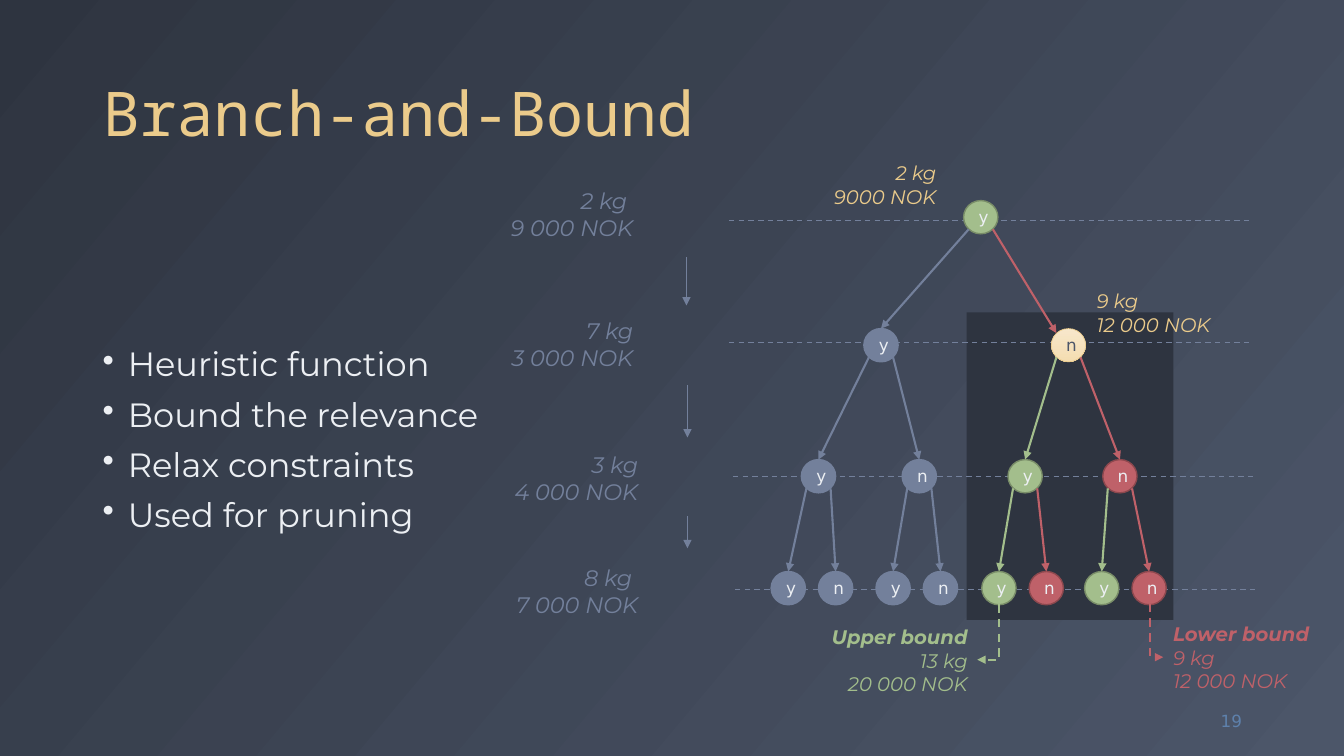
import dataclasses
import typing

import lxml.etree
import pptx
import pptx.dml.color
import pptx.enum.dml
import pptx.enum.shapes
import pptx.enum.text
import pptx.oxml.ns
import pptx.util

ALIGN = pptx.enum.text.PP_ALIGN
ANCHOR = pptx.enum.text.MSO_ANCHOR
LINK = pptx.enum.shapes.MSO_CONNECTOR
SHAPE = pptx.enum.shapes.MSO_SHAPE
DASH = pptx.enum.dml.MSO_LINE.DASH


@dataclasses.dataclass(frozen=True)
class Theme:
    night: str = "2E3440"
    dusk: str = "4C5669"
    slate: str = "73809B"
    snow: str = "ECEFF3"
    gold: str = "EBCB8B"
    green: str = "A3BE8C"
    red: str = "BF6169"
    blue: str = "5E81AC"
    moss: str = "798D68"
    wine: str = "8D484E"
    cream: str = "F7E7CB"
    sand: str = "F4DDB1"
    title: int = 44
    body: int = 24
    item: int = 16
    bound: int = 14
    small: int = 12
    code: str = "Noto Sans Mono"
    text: str = "Montserrat"
    plain: str = "DejaVu Sans"


T = Theme()

# The grid has 75 rows; its cells are square.
ROWS = 75
WIDTH = pptx.util.Inches(13.333)
HEIGHT = pptx.util.Inches(7.5)
CELL = HEIGHT / ROWS


class Tone(typing.NamedTuple):
    fill: str
    rim: str
    edge: str
    ink: str = T.snow
    fade: str = ""
    thick: float = 1


GREY = Tone(T.slate, T.slate, T.slate)
GOOD = Tone(T.green, T.moss, T.green)
BAD = Tone(T.red, T.wine, T.red)
PICK = Tone(T.cream, T.gold, T.red, T.dusk, T.sand, 0.5)


class Level(typing.NamedTuple):
    row: float
    cols: list[float]
    tones: list[Tone]
    guide: float


class Label(typing.NamedTuple):
    box: tuple[float, float, float, float]
    lines: list[str]
    color: str
    size: int
    align: ALIGN = ALIGN.RIGHT
    head: bool = False


NODE_W, NODE_H = 3.4, 3.3
GUIDE_W = 51.6
LEVELS = [
    Level(21.55, [97.3], [GOOD], 72.3),
    Level(34.25, [87.4, 106], [GREY, PICK], 72.3),
    Level(47.25, [81.2, 91.2, 101.7, 111.1], [GREY, GREY, GOOD, BAD], 72.7),
    Level(58.35, [78.2, 82.9, 88.6, 93.3, 99.1, 103.8, 109.3, 114],
          [GREY] * 4 + [GOOD, BAD] * 2, 72.9),
]
GUIDES = [21.9, 34, 47.3, 58.5]
STEPS = [(68.1, 25.5, 30.3), (68.2, 38.2, 43.4), (68.2, 51.2, 54.4)]
LABELS = [
    Label((49.5, 18.1, 14.3, 6.4), ["2 kg ", "9 000 NOK"], T.slate, T.item),
    Label((49.6, 31, 14.2, 6.4), ["7 kg", "3 000 NOK"], T.slate, T.item),
    Label((49.8, 44.3, 14.5, 6.4), ["3 kg", "4 000 NOK"], T.slate, T.item),
    Label((50, 55.5, 14.3, 6.4), ["8 kg ", "7 000 NOK"], T.slate, T.item),
    Label((81.6, 15.5, 12.3, 5.7), ["2 kg", "9000 NOK"], T.gold, T.bound),
    Label((107.8, 28.2, 13.9, 5.7), ["9 kg", "12 000 NOK"], T.gold, T.bound, ALIGN.LEFT),
    Label((81.4, 61.5, 15.6, 8.1), ["Upper bound", "13 kg", "20 000 NOK"],
          T.green, T.bound, head=True),
    Label((115.4, 61.2, 15.7, 8.1), ["Lower bound", "9 kg", "12 000 NOK"],
          T.red, T.bound, ALIGN.LEFT, True),
]
POINTS = ["Heuristic function", "Bound the relevance", "Relax constraints", "Used for pruning"]


def grid(*cells: float) -> list[int]:
    return [round(cell * CELL) for cell in cells]


def rgb(code: str) -> pptx.dml.color.RGBColor:
    return pptx.dml.color.RGBColor.from_string(code)


def blend(fill, start: str, end: str, angle: float) -> None:
    """Fill with a two-colour gradient; the angle runs clockwise."""
    fill.gradient()
    fill.gradient_angle = 360 - angle
    for stop, code in zip(fill.gradient_stops, (start, end)):
        stop.color.rgb = rgb(code)


def tag(parent, name: str, **attrs: str):
    return lxml.etree.SubElement(parent, pptx.oxml.ns.qn(name), attrs)


def style(par, face: str, size: int, color: str, align: ALIGN = ALIGN.LEFT) -> None:
    par.alignment = align
    par.font.name, par.font.size = face, pptx.util.Pt(size)
    par.font.color.rgb = rgb(color)


def frame(slide, box: tuple, anchor: ANCHOR, wrap: bool = True):
    text = slide.shapes.add_textbox(*grid(*box)).text_frame
    text.word_wrap, text.vertical_anchor = wrap, anchor
    return text


def shape(slide, kind: SHAPE, box: tuple, color: str):
    form = slide.shapes.add_shape(kind, *grid(*box))
    form.shadow.inherit = False
    form.fill.solid()
    form.fill.fore_color.rgb = rgb(color)
    form.line.fill.background()
    return form


def line(slide, start: tuple, end: tuple, color: str, width: float,
         head: bool = True, dash: bool = False, kind: LINK = LINK.STRAIGHT):
    link = slide.shapes.add_connector(kind, *grid(*start, *end))
    link.line.color.rgb = rgb(color)
    link.line.width = pptx.util.Pt(width)
    if dash:
        link.line.dash_style = DASH
    if head:
        tag(link.line.get_or_change_to_ln() if hasattr(link.line, "get_or_change_to_ln")
            else link.get_or_add_ln(), "a:tailEnd", type="triangle")
    tag(link.element.spPr, "a:effectLst")
    return link


def bend(slide, start: tuple, end: tuple, color: str, turn: int) -> None:
    """Draw a one-corner arrow, given its ends before it is turned."""
    link = line(slide, start, end, color, 1.5, dash=True, kind=LINK.ELBOW)
    link.element.spPr.prstGeom.set("prst", "bentConnector2")
    link.element.spPr.xfrm.set("rot", str(turn * 60000))


def node(slide, col: float, row: float, tone: Tone, word: str) -> None:
    box = (col - NODE_W / 2, row - NODE_H / 2, NODE_W, NODE_H)
    form = shape(slide, SHAPE.OVAL, box, tone.fill)
    if tone.fade:
        blend(form.fill, tone.fill, tone.fade, 90)
    form.line.color.rgb = rgb(tone.rim)
    form.line.width = pptx.util.Pt(tone.thick)
    form.text_frame.text = word
    form.text_frame.vertical_anchor = ANCHOR.MIDDLE
    style(form.text_frame.paragraphs[0], T.plain, T.small, tone.ink, ALIGN.CENTER)


def tree(slide) -> None:
    for level, row in zip(LEVELS, GUIDES):
        line(slide, (level.guide, row), (level.guide + GUIDE_W, row), T.slate, 1, False, True)
    for level in LEVELS:
        for i, (col, tone) in enumerate(zip(level.cols, level.tones)):
            node(slide, col, level.row, tone, "yn"[i % 2])
    for above, below in zip(LEVELS, LEVELS[1:]):
        for i, (col, tone) in enumerate(zip(below.cols, below.tones)):
            start = (above.cols[i // 2] + (1.2 if i % 2 else -1.2), above.row + 1.2)
            end = (col, below.row - NODE_H / 2)
            if tone is PICK:
                end = (col - 1.2, below.row - 1.2)
            line(slide, start, end, tone.edge, 1.5)


def label(slide, item: Label) -> None:
    text = frame(slide, item.box, ANCHOR.TOP, False)
    text.auto_size = pptx.enum.text.MSO_AUTO_SIZE.SHAPE_TO_FIT_TEXT
    text.text = "\n".join(item.lines)
    for i, par in enumerate(text.paragraphs):
        style(par, T.text, item.size, item.color, item.align)
        par.font.italic, par.font.bold = True, item.head and i == 0


def words(slide) -> None:
    text = frame(slide, (9.2, 1.8, 115, 13.6), ANCHOR.BOTTOM)
    text.text = "Branch-and-Bound"
    text.paragraphs[0].line_spacing = 0.9
    style(text.paragraphs[0], T.code, T.title, T.gold)
    text = frame(slide, (9.2, 20, 42.1, 47.6), ANCHOR.MIDDLE)
    text.text = "\n".join(POINTS)
    for i, par in enumerate(text.paragraphs):
        props = par._p.get_or_add_pPr()
        dent = pptx.util.Inches(0.25)
        props.set("marL", str(dent))
        props.set("indent", str(-dent))
        tag(props, "a:buChar", char="•")
        par.line_spacing, par.space_before = 0.9, pptx.util.Pt(10 if i else 0)
        style(par, T.text, T.body, T.snow)
    text = frame(slide, (115.9, 69.5, 8.3, 4), ANCHOR.MIDDLE)
    text.text = "19"
    style(text.paragraphs[0], T.plain, T.small, T.blue, ALIGN.RIGHT)


def main() -> None:
    deck = pptx.Presentation()
    deck.slide_width, deck.slide_height = WIDTH, HEIGHT
    slide = deck.slides.add_slide(deck.slide_layouts[6])
    blend(slide.background.fill, T.night, T.dusk, 40)
    shape(slide, SHAPE.RECTANGLE, (95.9, 31, 20.5, 30.5), T.night)
    words(slide)
    tree(slide)
    for col, top, foot in STEPS:
        line(slide, (col, top), (col, foot), T.slate, 0.5)
    for item in LABELS:
        label(slide, item)
    bend(slide, (95.3, 61.6), (100.8, 63.8), T.green, 90)
    bend(slide, (117.4, 61.9), (112.1, 63.2), T.red, 270)
    deck.save("out.pptx")


if __name__ == "__main__":
    main()
